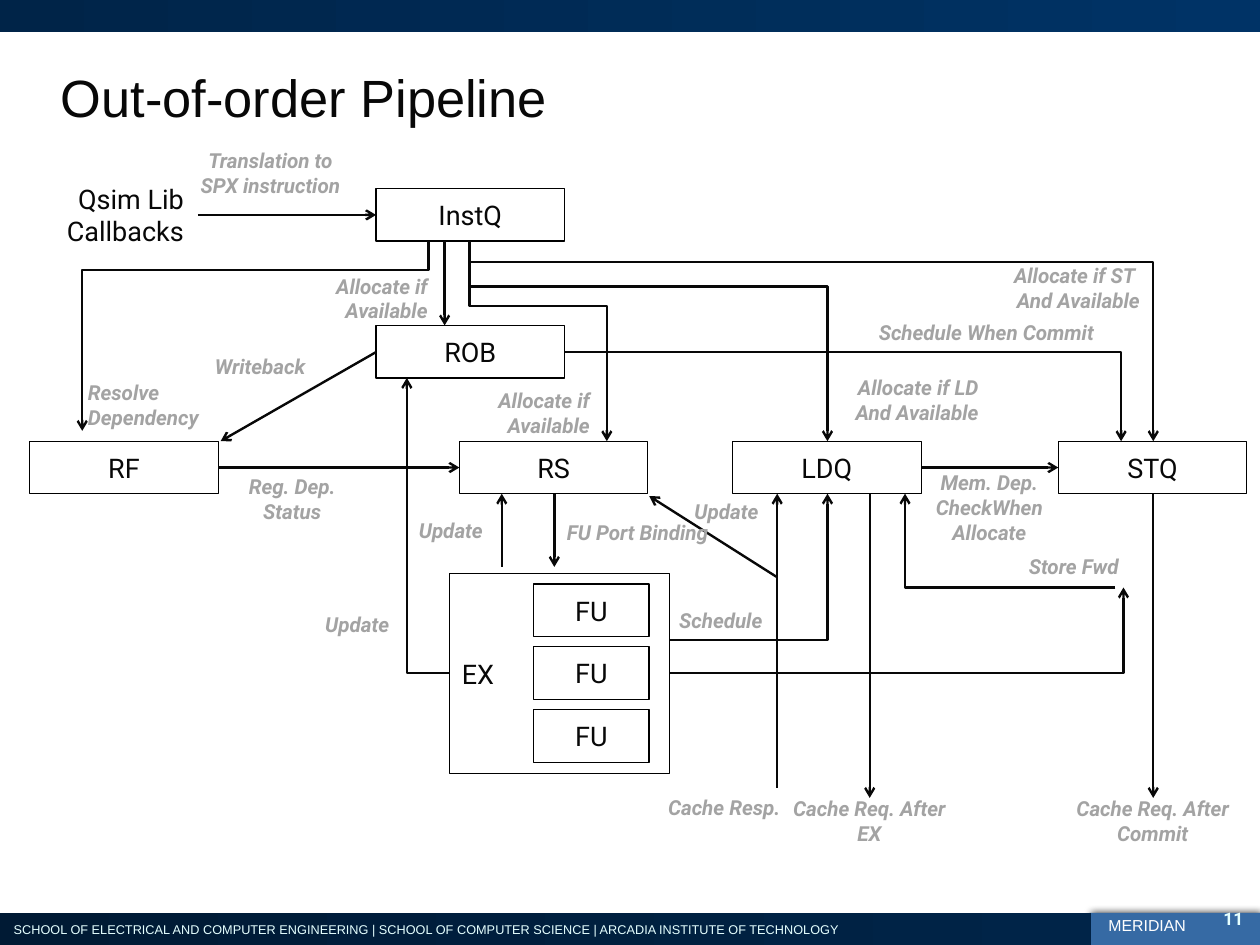
from lxml.etree import SubElement
from pptx import Presentation
from pptx.dml.color import RGBColor
from pptx.enum.shapes import MSO_CONNECTOR, MSO_SHAPE
from pptx.enum.text import MSO_ANCHOR, PP_ALIGN
from pptx.oxml.ns import qn
from pptx.util import Pt

COLORS = {"ink": "080808", "outline": "000000", "label": "A3A3A3", "pale": "E5FFFF",
          "white": "FFFFFF", "tab": "366AA4", "night": "001A34", "navy": "002448", "blue": "003366"}
LEFT, CENTER, RIGHT = PP_ALIGN.LEFT, PP_ALIGN.CENTER, PP_ALIGN.RIGHT
WIDTH, HEIGHT = 793.75, 595.25
BAND_H = 20.2
NODE_W, NODE_H = 118.8, 33.1
LABEL_H = 46.1

NODES = [("InstQ", 236.9, 34.8), ("ROB", 236.9, 121), ("RF", 18.7, 193.9),
         ("RS", 289.4, 193.9), ("LDQ", 461.5, 193.9), ("STQ", 666.7, 193.9)]
LABELS = [
    ("Translation to SPX instruction", 110.9, 1.7, CENTER),
    ("Allocate if Available", 158.4, 80.9, RIGHT),
    ("Allocate if Available", 260.6, 152.9, RIGHT),
    ("Allocate if LD\nAnd Available", 505.4, 145, RIGHT),
    ("Allocate if ST \nAnd Available", 607, 74.4, RIGHT),
    ("Resolve Dependency", 47.5, 147.8, LEFT),
    ("Reg. Dep.\nStatus", 124.6, 206.9, CENTER),
    ("FU Port Binding", 349.2, 228.5, LEFT),
    ("Mem. Dep.\nCheckWhen Allocate", 563.8, 212.6, CENTER),
    ("Schedule", 394.6, 283.9, CENTER),
    ("Cache Req. After EX", 488.2, 409.9, CENTER),
    ("Cache Req. After Commit", 666.7, 409.9, CENTER),
    ("Update", 165.6, 286.1, CENTER),
    ("Store Fwd", 617, 249.4, CENTER),
    ("Update", 224.6, 227, CENTER),
    ("Cache Resp.", 396.7, 401.3, CENTER),
    ("Update", 398.2, 214.8, CENTER),
    ("Writeback", 104.4, 123.4, CENTER),
]
STRAIGHTS = [
    (124.6, 51.4, 236.9, 51.4), (280.1, 67.9, 280.1, 121), (137.5, 210.5, 289.4, 210.5),
    (349.2, 227, 349.2, 273.1), (581, 210.5, 666.7, 210.5), (547.9, 227, 547.9, 418.6),
    (726.5, 227, 726.5, 418.6), (316.1, 273.1, 316.1, 227), (489.6, 412.1, 489.6, 227),
    (489.6, 279.6, 409, 228.5), (236.9, 137.8, 139, 193.9),
]
CORNERS = [
    (422, 319.2, 521.3, 227), (355.7, 137.8, 706.3, 193.9), (283, 340.1, 256.3, 154.1),
    (702.7, 286.1, 570.2, 227), (422, 340.1, 707.8, 286.1),
]
DROPS = [
    (295.9, 67.9, 382.3, 193.9, 32500), (295.9, 67.9, 521.3, 193.9, 22600),
    (295.9, 67.9, 726.5, 193.9, 10500), (270, 67.9, 51.8, 187.4, 15300),
]


def rgb(name):
    """Return a named colour."""
    return RGBColor.from_string(COLORS[name])


def write(s, text, size, color, align=LEFT, font="Roboto", anchor=MSO_ANCHOR.MIDDLE,
          bold=False, italic=False, wrap=True, margins=(7.9, 4.3)):
    """Put formatted text in a shape."""
    tf = s.text_frame
    tf.word_wrap = wrap
    tf.vertical_anchor = anchor
    tf.margin_left = tf.margin_right = Pt(margins[0])
    tf.margin_top = tf.margin_bottom = Pt(margins[1])
    tf.text = text
    for p in tf.paragraphs:
        p.alignment = align
        for r in p.runs:
            r.font.size = Pt(size)
            r.font.name = font
            r.font.bold, r.font.italic = bold, italic
            r.font.color.rgb = rgb(color)
    return tf


def add_text(slide, box, text, size, color, **style):
    """Add a text box."""
    s = slide.shapes.add_textbox(*map(Pt, box))
    return write(s, text, size, color, **style)


def add_rect(slide, box):
    """Add a plain rectangle without fill, line or shadow."""
    s = slide.shapes.add_shape(MSO_SHAPE.RECTANGLE, *map(Pt, box))
    s.shadow.inherit = False
    s.fill.background()
    s.line.fill.background()
    return s


def add_band(slide, box, start, end):
    """Add a band shaded from left to right."""
    s = add_rect(slide, box)
    s.fill.gradient()
    s.fill.gradient_angle = 0
    for stop, name, position in zip(s.fill.gradient_stops, (start, end), (0, 1)):
        stop.color.rgb = rgb(name)
        stop.position = position


def add_node(slide, box, text, align=CENTER):
    """Add an outlined pipeline block."""
    s = add_rect(slide, box)
    s.line.color.rgb = rgb("outline")
    s.line.width = Pt(0.75)
    write(s, text, 17, "ink", align=align)


def add_arrow(slide, kind, ends):
    """Add a connector with an open arrowhead at its end."""
    s = slide.shapes.add_connector(kind, *map(Pt, ends))
    s.line.color.rgb = rgb("ink")
    s.line.width = Pt(1.5)
    pr = s._element.spPr
    SubElement(pr.find(qn("a:ln")), qn("a:tailEnd"), type="arrow")
    SubElement(pr, qn("a:effectLst"))
    return s


def add_corner(slide, ends):
    """Add an arrow that runs across and then up or down."""
    s = add_arrow(slide, MSO_CONNECTOR.ELBOW, ends)
    s._element.spPr.find(qn("a:prstGeom")).set("prst", "bentConnector2")


def add_drop(slide, ends, bend):
    """Add an arrow that runs down, across and down again."""
    x1, y1, x2, y2 = ends
    cx, cy = (x1 + x2) / 2, (y1 + y2) / 2
    dx, dy = abs(x2 - x1) / 2, (y2 - y1) / 2
    side = 1 if x2 > x1 else -1
    s = add_arrow(slide, MSO_CONNECTOR.ELBOW,
                  (cx + side * dy, cy - dx, cx - side * dy, cy + dx))
    pr = s._element.spPr
    pr.find(qn("a:xfrm")).set("rot", str((180 + side * 90) * 60000))
    guides = pr.find(qn("a:prstGeom")).get_or_add_avLst()
    SubElement(guides, qn("a:gd"), name="adj1", fmla=f"val {bend}")


def add_footer(slide, box):
    """Draw the footer band, its tab and the page number."""
    x, y, w, h = box
    tab_w = 107.3
    tab = add_rect(slide, (x + w - tab_w, y, tab_w, h))
    tab.fill.solid()
    tab.fill.fore_color.rgb = rgb("tab")
    effects = tab._element.spPr.find(qn("a:effectLst"))
    shadow = SubElement(effects, qn("a:outerShdw"), blurRad=str(Pt(5)), dist=str(Pt(1)), dir="0")
    color = SubElement(shadow, qn("a:srgbClr"), val=COLORS["outline"])
    SubElement(color, qn("a:alpha"), val="75000")
    add_band(slide, (x, y, w - tab_w + 0.7, h), "night", "navy")
    top = MSO_ANCHOR.TOP
    add_text(slide, (x + 0.7, y + 1.4, 542, 18),
             "SCHOOL OF ELECTRICAL AND COMPUTER ENGINEERING | SCHOOL OF COMPUTER SCIENCE"
             " | ARCADIA INSTITUTE OF TECHNOLOGY",
             8, "pale", font="Arial", anchor=top, wrap=False)
    tf = add_text(slide, (x + w - 102.5, y - 0.7, 67, 18.7), "MERIDIAN", 10, "white",
                  font="Arial", anchor=top, wrap=False, margins=(7.2, 3.6))
    tf.paragraphs[0].line_spacing = 0.93
    add_text(slide, (x + w - 44.2, y - 7.2, 33.8, 18.7), "11", 11, "pale",
             align=RIGHT, anchor=top, bold=True, margins=(0, 4.3))


def add_header(slide, box):
    """Draw the top band and the title."""
    x, y, w, h = box
    add_band(slide, (x, y, w, BAND_H), "navy", "blue")
    add_text(slide, (x + 30.5, y + 19.7, w - 55.4, h - 19.4), "Out-of-order Pipeline",
             33, "ink", font="Arial")


def add_pipeline(slide, box):
    """Draw the blocks, arrows and labels of the pipeline."""
    x, y, w, h = box

    def shift(ends):
        """Move the two ends of an arrow into the box."""
        x1, y1, x2, y2 = ends
        return x + x1, y + y1, x + x2, y + y2

    for text, left, top in NODES:
        add_node(slide, (x + left, y + top, NODE_W, NODE_H), text)
    add_node(slide, (x + 283, y + 277.2, 139, 126), "EX", align=LEFT)
    for i in range(3):
        add_node(slide, (x + 336.2, y + 283.9 + i * 39.6, 72.7, NODE_H), "FU")
    for ends in STRAIGHTS:
        add_arrow(slide, MSO_CONNECTOR.STRAIGHT, shift(ends))
    for ends in CORNERS:
        add_corner(slide, shift(ends))
    for *ends, bend in DROPS:
        add_drop(slide, shift(ends), bend)
    add_text(slide, (x + 5, y + 28.3, NODE_W, LABEL_H), "Qsim Lib\nCallbacks", 17, "ink",
             align=RIGHT)
    label = {"size": 13, "color": "label", "bold": True, "italic": True}
    for text, left, top, align in LABELS:
        add_text(slide, (x + left, y + top, NODE_W, LABEL_H), text, align=align, **label)
    add_text(slide, (x + 516.2, y + 102.5, 210.2, LABEL_H), "Schedule When Commit",
             align=CENTER, **label)


def main():
    """Build the slide and save it."""
    prs = Presentation()
    prs.slide_width, prs.slide_height = Pt(WIDTH), Pt(HEIGHT)
    slide = prs.slides.add_slide(prs.slide_layouts[6])
    add_footer(slide, (0, HEIGHT - BAND_H, WIDTH, BAND_H))
    add_header(slide, (0, 0, WIDTH, 101.5))
    add_pipeline(slide, (0, 84, WIDTH, 456))
    prs.save("out.pptx")


if __name__ == "__main__":
    main()
